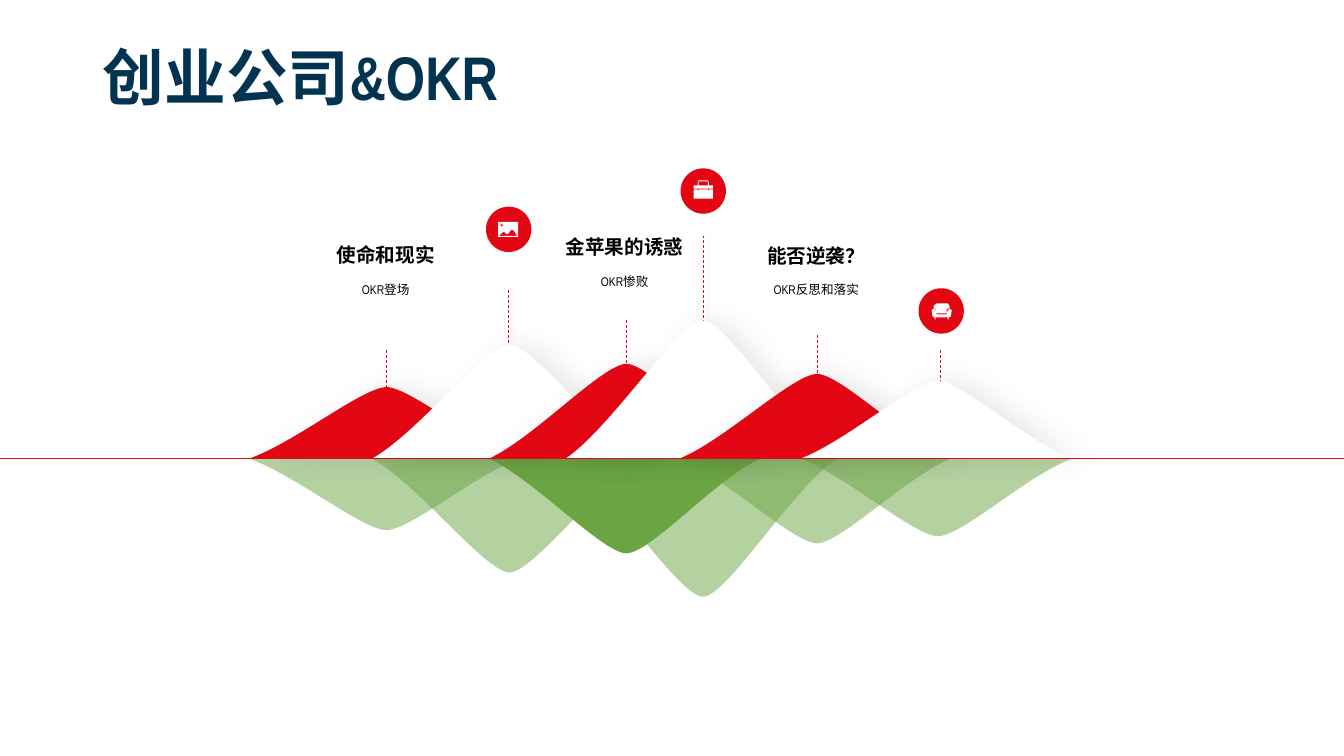
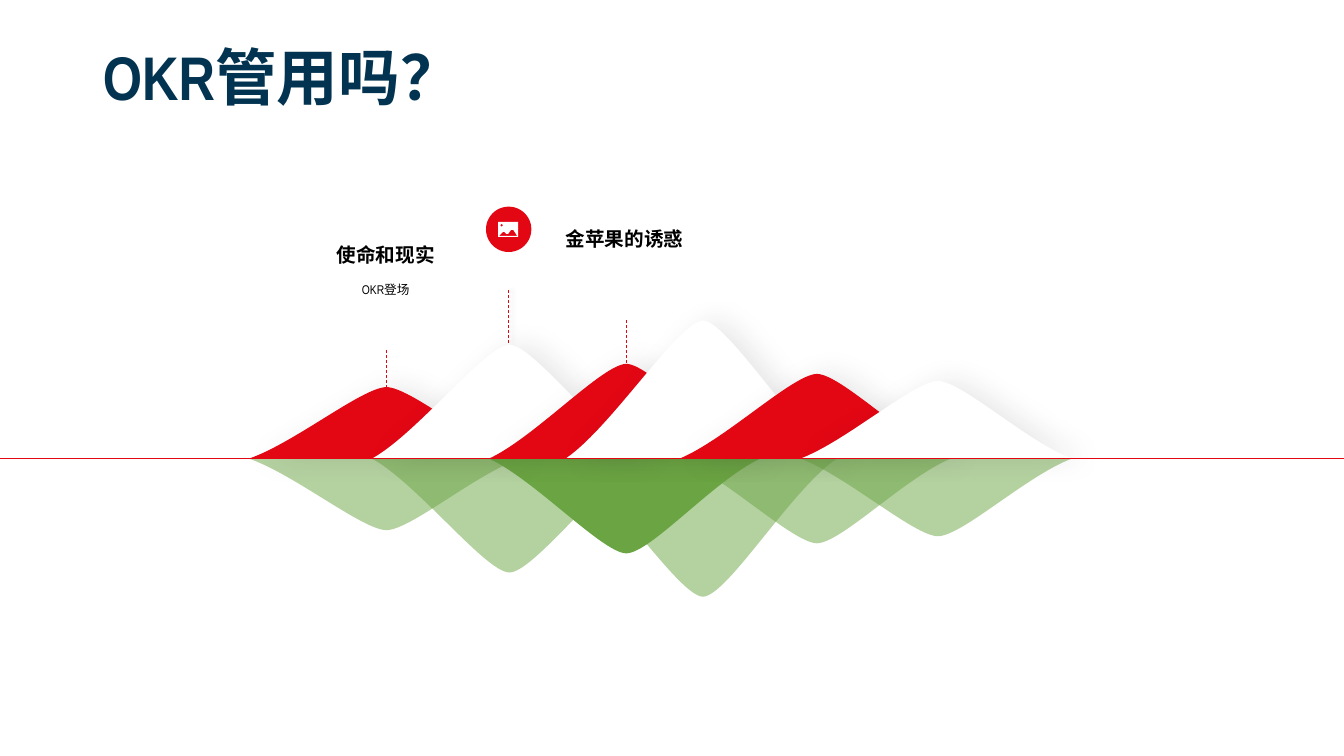
from dataclasses import dataclass

from lxml.etree import SubElement
from pptx import Presentation
from pptx.dml.color import RGBColor as RGB
from pptx.enum.dml import MSO_LINE as DASH
from pptx.enum.shapes import MSO_CONNECTOR as LINK, MSO_SHAPE as SHAPE
from pptx.enum.text import MSO_ANCHOR as ANCHOR, MSO_AUTO_SIZE as FIT, PP_ALIGN as ALIGN
from pptx.oxml import parse_xml
from pptx.oxml.ns import nsdecls, qn
from pptx.util import Inches, Pt


@dataclass(frozen=True)
class Theme:
    font: str = "Arial Narrow"
    navy: RGB = RGB(0x02, 0x33, 0x51)
    red: RGB = RGB(0xE3, 0x06, 0x13)
    green: RGB = RGB(0x6B, 0xA4, 0x43)
    white: RGB = RGB(0xFF, 0xFF, 0xFF)
    black: RGB = RGB(0, 0, 0)
    title: int = 44
    head: int = 14
    note: int = 9
    line: float = 0.5


T = Theme()
WIDTH, FOOT, BASE = 13.33, 4.54, 4.55
DISC = 0.45

# Left edge, height, colour above the axis, opacity below it
HILLS = [
    (2.47, 0.71, T.red, 50),
    (3.69, 1.13, T.white, 50),
    (4.85, 0.94, T.red, 100),
    (5.61, 1.37, T.white, 50),
    (6.74, 0.84, T.red, 50),
    (7.94, 0.77, T.white, 50),
]
# Two Bezier curves, end to end: x in inches, y as a share of the height
CREST = [(0, 0), (0.45, 0.22), (1.12, 0.99), (1.36, 1),
         (1.6, 1), (2.24, 0.22), (2.69, 0)]

# Icon outlines in hundredths of an inch from the corner of the disc
PHOTO = [
    [(12, 15), (32, 15), (32, 30), (12, 30)],
    [(13, 29), (17, 25), (18, 25), (20, 27), (22, 27), (25, 23), (27, 23), (31, 29)],
    [(14, 18.5), (15.5, 17), (17, 18.5), (15.5, 20)],
]
CASE = [
    [(13, 20), (13, 17), (17, 17), (17, 14), (18, 12), (27, 12),
     (28, 14), (28, 17), (32, 17), (32, 20)],
    [(18, 17), (18, 13), (27, 13), (27, 17)],
    [(13, 21), (17, 21), (17, 22), (18, 22), (18, 21), (27, 21),
     (27, 22), (28, 22), (28, 21), (32, 21), (32, 30), (13, 30)],
]
SOFA = [
    [(15, 20), (17, 22), (18, 26), (28, 26), (29, 22), (31, 20), (33, 22),
     (32, 28), (30, 29), (30, 31), (29, 31), (29, 29), (17, 29), (17, 31),
     (16, 31), (16, 29), (14, 28), (13, 22)],
    [(18, 15), (29, 15), (31, 18), (31, 19), (28, 21), (28, 25), (18, 25),
     (17, 21), (15, 19), (15, 18)],
]

# Per slide: title, icons (outline, left, top), stems (x, top, shadow),
# labels (left, head top, head, note top, note)
SLIDES = [
    (
        "创业公司&OKR",
        [(SOFA, 9.11, 2.86), (CASE, 6.75, 1.67), (PHOTO, 4.82, 2.05)],
        [(3.83, 3.46, False), (6.21, 3.17, False), (8.11, 3.31, False),
         (9.33, 3.46, False), (5.04, 2.87, True), (6.98, 2.34, True)],
        [(2.97, 2.36, "使命和现实", 2.67, "OKR登场"),
         (5.34, 2.28, "金苹果的诱惑", 2.59, "OKR惨败"),
         (7.24, 2.37, "能否逆袭？", 2.67, "OKR反思和落实")],
    ),
    (
        "OKR管用吗？",
        [(PHOTO, 4.82, 2.05)],
        [(3.83, 3.46, False), (6.21, 3.17, False), (5.04, 2.87, True)],
        [(2.97, 2.36, "使命和现实", 2.67, "OKR登场"),
         (5.34, 2.2, "金苹果的诱惑", None, None)],
    ),
]

EFFECT = (
    f'<a:effectLst {nsdecls("a")}><a:outerShdw blurRad="%d" dist="%d" dir="0" '
    'algn="l" rotWithShape="0"><a:srgbClr val="%s"><a:alpha val="%d"/>'
    "</a:srgbClr></a:outerShdw></a:effectLst>"
)
HILL_SHADE = EFFECT % (Pt(20), Pt(10), "262626", 10000)
STEM_SHADE = EFFECT % (Pt(3), Pt(3), "000000", 23000)
NO_SHADE = f'<a:effectLst {nsdecls("a")}/>'


def write(frame, text, size, color=T.black, bold=False, align=ALIGN.CENTER,
          space=None, anchor=ANCHOR.TOP):
    frame.word_wrap, frame.auto_size = True, FIT.NONE
    frame.vertical_anchor = anchor
    para = frame.paragraphs[0]
    para.alignment, para.line_spacing = align, space
    run = para.add_run()
    run.text = text
    font = run.font
    font.name, font.size, font.bold = T.font, Pt(size), bold
    font.color.rgb = color


def carve(tree, rings, color, alpha=100, shade=NO_SHADE, curved=False):
    """Fill closed rings of points, in inches; curved joins them as Beziers."""
    rings = [[(Inches(x), Inches(y)) for x, y in ring] for ring in rings]
    pen = tree.build_freeform(*rings[0][0])
    pen.add_line_segments(rings[0][1:], close=True)
    for ring in rings[1:]:
        pen.move_to(*ring[0])
        pen.add_line_segments(ring[1:], close=True)
    form = pen.convert_to_shape()
    form.fill.solid()
    form.fill.fore_color.rgb = color
    form.line.fill.background()
    props = form._element.spPr
    props.append(parse_xml(shade))
    if alpha < 100:
        tint = props.find(qn("a:solidFill")).find(qn("a:srgbClr"))
        SubElement(tint, qn("a:alpha")).set("val", str(alpha * 1000))
    if curved:
        steps = list(props.iter(qn("a:lnTo")))
        for start in range(0, len(CREST) - 1, 3):
            trio = steps[start:start + 3]
            bend = parse_xml(f'<a:cubicBezTo {nsdecls("a")}/>')
            trio[0].addprevious(bend)
            for step in trio:
                bend.append(step[0])
                step.getparent().remove(step)


deck = Presentation()
deck.slide_width, deck.slide_height = Inches(WIDTH), Inches(7.5)

for title, icons, stems, labels in SLIDES:
    slide = deck.slides.add_slide(deck.slide_layouts[5])
    tree = slide.shapes
    head = tree.title
    head.left, head.top = Inches(0.92), Inches(0.4)
    head.width, head.height = Inches(11.5), Inches(0.8)
    write(head.text_frame, title, T.title, color=T.navy, bold=True,
          align=ALIGN.LEFT, space=0.9, anchor=ANCHOR.MIDDLE)

    pool = tree.add_group_shape().shapes
    for left, tall, _, alpha in HILLS:
        ring = [(left + x, BASE + y * tall) for x, y in CREST]
        carve(pool, [ring], T.green, alpha, curved=True)

    for rings, left, top in icons:
        badge = tree.add_group_shape().shapes
        disc = badge.add_shape(SHAPE.OVAL, Inches(left), Inches(top),
                               Inches(DISC), Inches(DISC))
        disc.shadow.inherit = False
        disc.fill.solid()
        disc.fill.fore_color.rgb = T.red
        disc.line.fill.background()
        carve(badge, [[(left + x / 100, top + y / 100) for x, y in ring]
                      for ring in rings], T.white)

    lines = [(x, FOOT, x, top, DASH.DASH, STEM_SHADE if shade else NO_SHADE)
             for x, top, shade in stems]
    lines.append((0, BASE, WIDTH, BASE, None, NO_SHADE))
    for *ends, dash, shade in lines:
        link = tree.add_connector(LINK.STRAIGHT, *map(Inches, ends))
        link.line.color.rgb = T.red
        link.line.width = Pt(T.line)
        link.line.dash_style = dash
        link._element.spPr.append(parse_xml(shade))
    ground = link._element

    for left, tall, color, _ in HILLS:
        ring = [(left + x, BASE - y * tall) for x, y in CREST]
        carve(tree, [ring], color, shade=HILL_SHADE, curved=True)

    for left, top, name, low, note in labels:
        pair = tree.add_group_shape().shapes if note else tree
        box = pair.add_textbox(Inches(left), Inches(top), Inches(1.71), Inches(0.51))
        write(box.text_frame, name, T.head, bold=True)
        if note:
            box = pair.add_textbox(Inches(left), Inches(low), Inches(1.71), Inches(0.7))
            write(box.text_frame, note, T.note, space=1.5)

    # The ground line lies in front of the hills
    ground.getparent().append(ground)

deck.save("out.pptx")
